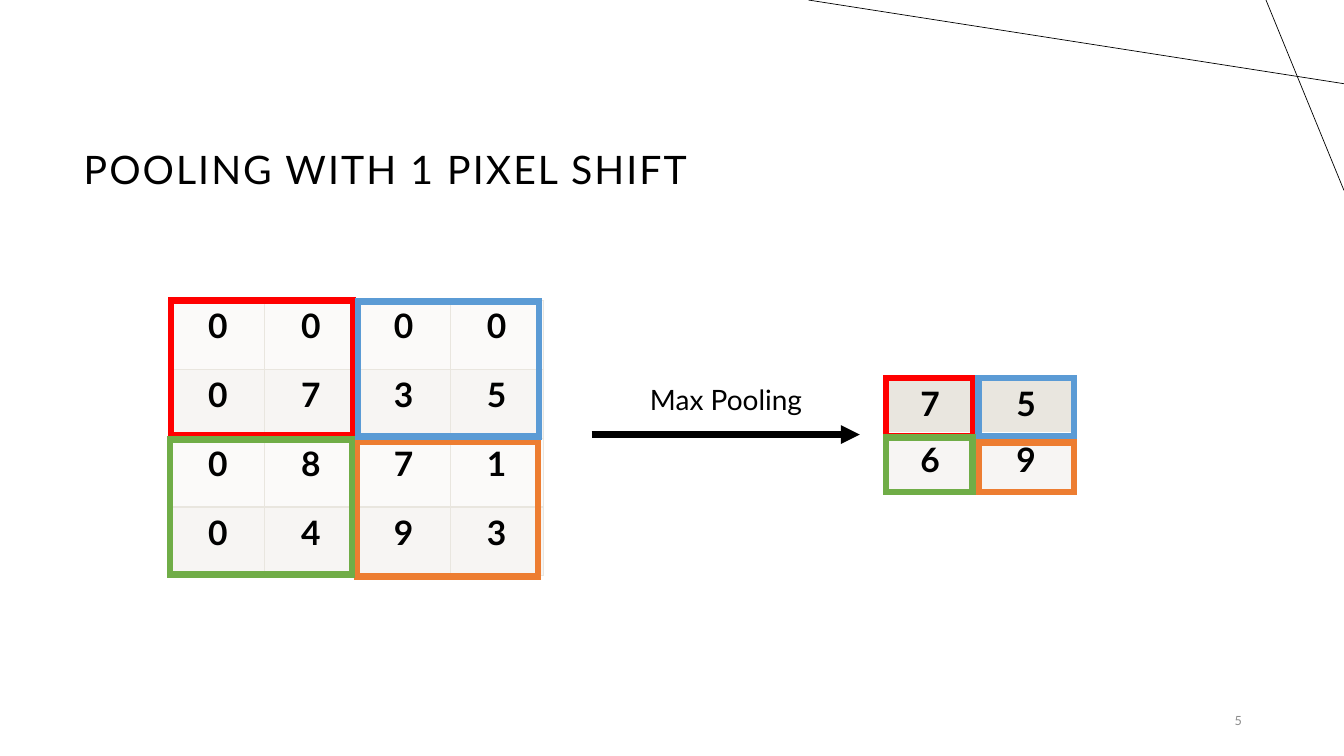
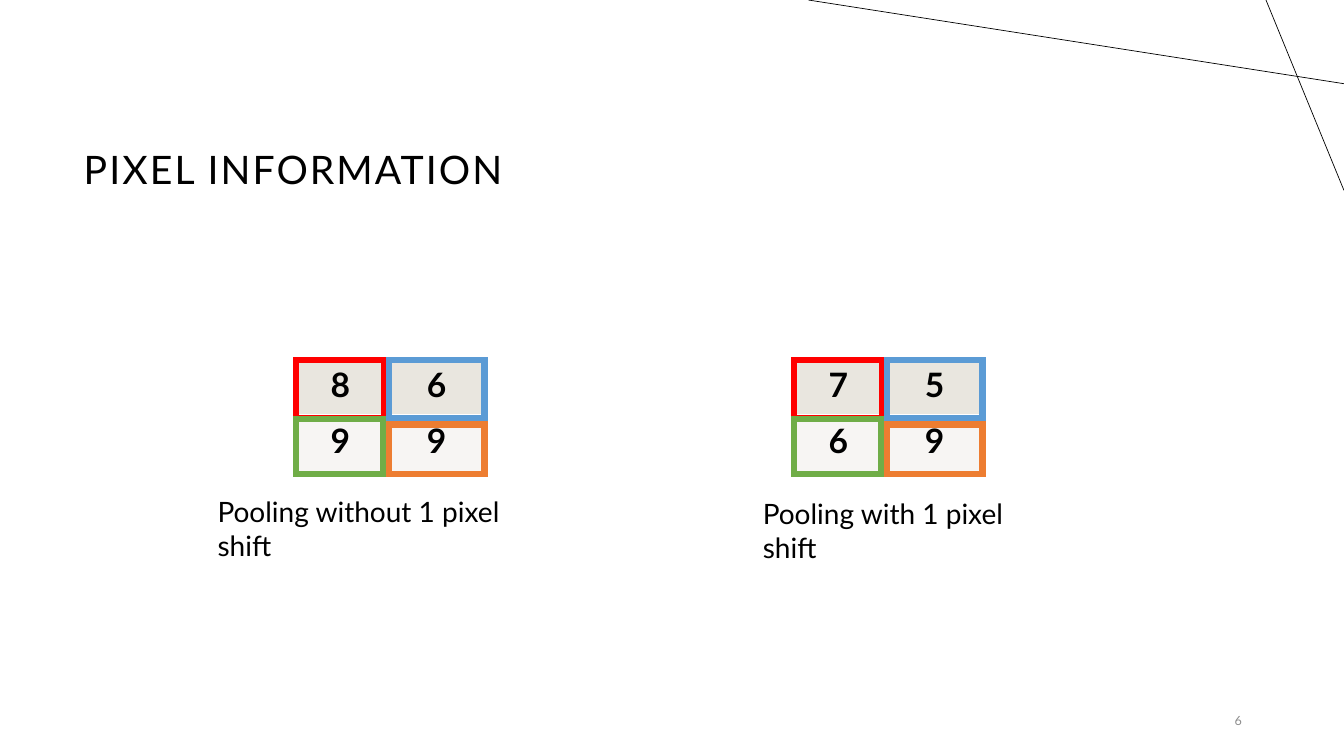
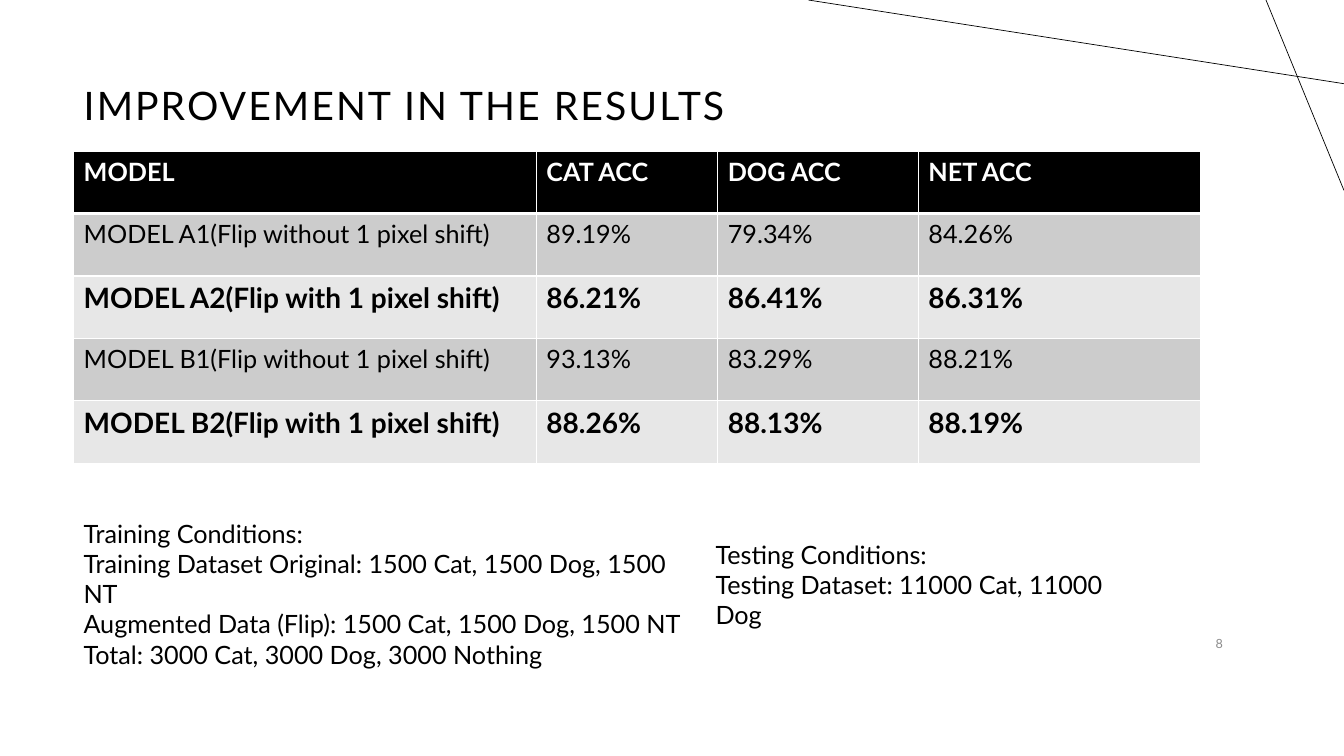
from lxml import etree
from pptx import Presentation
from pptx.dml.color import RGBColor
from pptx.enum.shapes import MSO_CONNECTOR, MSO_SHAPE
from pptx.enum.text import MSO_ANCHOR, MSO_AUTO_SIZE, PP_ALIGN
from pptx.oxml.ns import qn
from pptx.util import Pt

STRAIGHT = MSO_CONNECTOR.STRAIGHT
RECTANGLE = MSO_SHAPE.RECTANGLE
MIDDLE, TOP = MSO_ANCHOR.MIDDLE, MSO_ANCHOR.TOP
LEFT, CENTER, RIGHT = PP_ALIGN.LEFT, PP_ALIGN.CENTER, PP_ALIGN.RIGHT
NO_AUTO_SIZE = MSO_AUTO_SIZE.NONE

FONT = "Lato"
BLACK = RGBColor(0x00, 0x00, 0x00)
WHITE = RGBColor(0xFF, 0xFF, 0xFF)
PAGE_GREY = RGBColor(0x8C, 0x8C, 0x8C)
SAND = RGBColor(0xE9, 0xE6, 0xDF)
SAND_LIGHT = RGBColor(0xF7, 0xF5, 0xF3)
SAND_PALE = RGBColor(0xFB, 0xFA, 0xF9)
BAND_DARK = RGBColor(0xCC, 0xCC, 0xCC)
BAND_LIGHT = RGBColor(0xE7, 0xE7, 0xE7)
RED = RGBColor(0xFF, 0x00, 0x00)
BLUE = RGBColor(0x5B, 0x9B, 0xD5)
ORANGE = RGBColor(0xED, 0x7D, 0x31)
GREEN = RGBColor(0x70, 0xAD, 0x47)

HEAVY_LINE = 4.5
CORNER_LINES = [(960, 59.8, 577.4, 0), (904.3, 0, 960, 136)]

# Left, top, width, height and colour, measured from the corner of the grid
INPUT_WINDOWS = [
    (0, 0, 129.6, 96.5, RED),
    (132.5, 100.8, 129.6, 96.5, ORANGE),
    (-0.7, 99.4, 129.6, 96.5, GREEN),
    (133.2, 0.7, 129.6, 96.5, BLUE),
]
POOLED_WINDOWS = [
    (2.9, 0, 62.6, 41.8, RED),
    (69, 0, 68.4, 41.8, BLUE),
    (69, 46.1, 68.4, 35.3, ORANGE),
    (2.9, 42.5, 61.9, 38.9, GREEN),
]
INPUT_PIXELS = ["0000", "0735", "0871", "0493"]

RESULTS = [
    ("MODEL", "CAT ACC", "DOG ACC", "NET ACC"),
    ("MODEL A1(Flip without 1 pixel shift)", "89.19%", "79.34%", "84.26%"),
    ("MODEL A2(Flip with 1 pixel shift)", "86.21%", "86.41%", "86.31%"),
    ("MODEL B1(Flip without 1 pixel shift)", "93.13%", "83.29%", "88.21%"),
    ("MODEL B2(Flip with 1 pixel shift)", "88.26%", "88.13%", "88.19%"),
]


def format_text(text_frame, size, color=BLACK, bold=False, alignment=LEFT):
    for paragraph in text_frame.paragraphs:
        paragraph.alignment = alignment
        for run in paragraph.runs:
            run.font.name = FONT
            run.font.size = Pt(size)
            run.font.bold = bold
            run.font.color.rgb = color


def add_text(slide, left, top, width, height, text, size,
             color=BLACK, alignment=LEFT, anchor=TOP):
    box = slide.shapes.add_textbox(Pt(left), Pt(top), Pt(width), Pt(height))
    box.text_frame.word_wrap = True
    box.text_frame.vertical_anchor = anchor
    box.text_frame.text = text
    format_text(box.text_frame, size, color, alignment=alignment)


def add_line(slide, x1, y1, x2, y2, width, arrow=False):
    connector = slide.shapes.add_connector(
        STRAIGHT, Pt(x1), Pt(y1), Pt(x2), Pt(y2))
    connector.line.color.rgb = BLACK
    connector.line.width = Pt(width)
    properties = connector.element.spPr
    if arrow:
        etree.SubElement(properties.find(qn("a:ln")), qn("a:tailEnd"),
                         type="triangle")
    etree.SubElement(properties, qn("a:effectLst"))


def add_windows(slide, left, top, windows):
    """Draw the coloured outlines of the pooling windows over a grid."""
    for x, y, width, height, color in windows:
        window = slide.shapes.add_shape(
            RECTANGLE, Pt(left + x), Pt(top + y), Pt(width), Pt(height))
        window.shadow.inherit = False
        window.fill.background()
        window.line.color.rgb = color
        window.line.width = Pt(HEAVY_LINE)
        outline = window.element.spPr.find(qn("a:ln"))
        etree.SubElement(outline, qn("a:miter"), lim="800000")


def set_borders(cell, color, bottom_width):
    properties = cell._tc.get_or_add_tcPr()
    for side, width in (("L", 1), ("R", 1), ("T", 1), ("B", bottom_width)):
        border = etree.SubElement(properties, qn("a:ln" + side),
                                  w=str(Pt(width)))
        fill = etree.SubElement(border, qn("a:solidFill"))
        etree.SubElement(fill, qn("a:srgbClr"), val=str(color))


def add_table(slide, left, top, column_widths, row_height, rows, row_fills,
              border=WHITE, header_rule=True):
    """Add a table and return it; header_rule thickens the line under row one."""
    frame = slide.shapes.add_table(
        len(rows), len(column_widths), Pt(left), Pt(top),
        Pt(sum(column_widths)), Pt(row_height * len(rows)))
    table = frame.table
    table.first_row = table.horz_banding = False
    for column, width in zip(table.columns, column_widths):
        column.width = Pt(width)
    for index, (row, values, fill) in enumerate(
            zip(table.rows, rows, row_fills)):
        row.height = Pt(row_height)
        for cell, value in zip(row.cells, values):
            cell.text = value
            set_borders(cell, border, 3 if header_rule and index == 0 else 1)
            cell.fill.solid()
            cell.fill.fore_color.rgb = fill
    return table


def format_pixels(table):
    for cell in table.iter_cells():
        format_text(cell.text_frame, 24, bold=True, alignment=CENTER)


def add_input_grid(slide, left, top):
    format_pixels(add_table(
        slide, left, top, [66.4] * 4, 49.2, INPUT_PIXELS,
        [SAND_PALE, SAND_LIGHT] * 2, border=SAND, header_rule=False))
    add_windows(slide, left, top, INPUT_WINDOWS)


def add_pooled_grid(slide, left, top, pixels):
    format_pixels(add_table(
        slide, left, top, [68.7] * 2, 40, pixels, [SAND, SAND_LIGHT]))
    add_windows(slide, left, top, POOLED_WINDOWS)


def add_results_table(slide):
    table = add_table(
        slide, 52.6, 108, [330.5, 129.6, 143.3, 201.6], 44.6, RESULTS,
        [BLACK] + [BAND_DARK, BAND_LIGHT] * 2)
    styles = [(18, WHITE, True)] + [(18, BLACK, False), (20, BLACK, True)] * 2
    for row, style in zip(table.rows, styles):
        for cell in row.cells:
            format_text(cell.text_frame, *style)


def add_slide(presentation, title_text, number, title_top=70.6,
              number_left=678.2, number_top=500.4):
    """Add a slide with the shared title, corner lines and page number."""
    slide = presentation.slides.add_slide(presentation.slide_layouts[5])
    for line in CORNER_LINES:
        add_line(slide, *line, width=0.5)
    title = slide.shapes.title
    title.left, title.top = Pt(52.6), Pt(title_top)
    title.width, title.height = Pt(841.7), Pt(104.4)
    text_frame = title.text_frame
    text_frame.text = title_text
    text_frame.auto_size = NO_AUTO_SIZE
    text_frame.vertical_anchor = MIDDLE
    text_frame.paragraphs[0].line_spacing = 0.9
    format_text(text_frame, 28)
    for properties in title.element.iter(qn("a:rPr")):
        properties.set("spc", "150")
    add_text(slide, number_left, number_top, 216, 28.8, number, 9,
             PAGE_GREY, RIGHT, MIDDLE)
    return slide


def build_shift_slide(presentation):
    slide = add_slide(presentation, "POOLING WITH 1 PIXEL SHIFT", "5")
    add_input_grid(slide, 122.4, 214.6)
    add_pooled_grid(slide, 630, 270, ["75", "69"])
    add_line(slide, 422.6, 310.4, 614.2, 310.4, HEAVY_LINE, arrow=True)
    add_text(slide, 457.2, 270, 146.9, 31.7, "Max Pooling", 20)


def build_information_slide(presentation):
    slide = add_slide(presentation, "PIXEL INFORMATION", "6")
    add_pooled_grid(slide, 564.5, 257, ["75", "69"])
    add_pooled_grid(slide, 208.8, 257, ["86", "99"])
    add_text(slide, 148.3, 349.9, 257, 31.7,
             "Pooling without 1 pixel shift", 20)
    add_text(slide, 537.8, 351.4, 228.2, 31.7,
             "Pooling with 1 pixel shift", 20)


def build_results_slide(presentation):
    slide = add_slide(presentation, "IMPROVEMENT IN THE RESULTS", "8",
                      title_top=24.5, number_left=664.6, number_top=445)
    add_results_table(slide)
    add_text(slide, 52.6, 366.5, 449.3, 94.3,
             "Training Conditions:\n"
             "Training Dataset Original: 1500 Cat, 1500 Dog, 1500 NT\n"
             "Augmented Data (Flip): 1500 Cat, 1500 Dog, 1500 NT\n"
             "Total: 3000 Cat, 3000 Dog, 3000 Nothing", 18)
    add_text(slide, 504, 381.6, 320.4, 51.1,
             "Testing Conditions:\n"
             "Testing Dataset: 11000 Cat, 11000 Dog", 18)


def main():
    presentation = Presentation()
    presentation.slide_width, presentation.slide_height = Pt(960), Pt(540)
    build_shift_slide(presentation)
    build_information_slide(presentation)
    build_results_slide(presentation)
    presentation.save("out.pptx")


if __name__ == "__main__":
    main()
